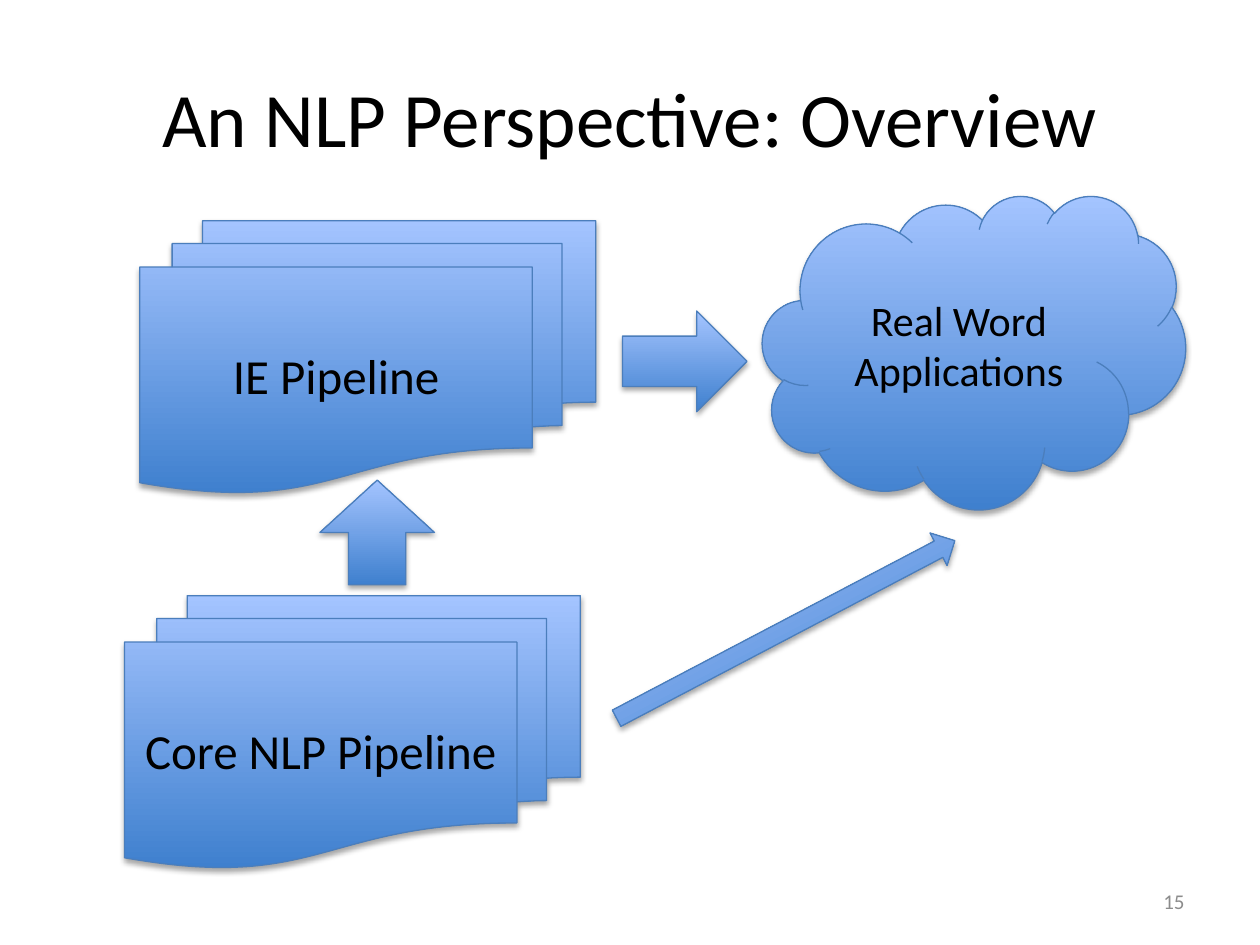
from lxml import etree
from pptx import Presentation
from pptx import util as u
from pptx.dml.color import RGBColor
from pptx.enum import shapes, text
from pptx.oxml.ns import qn

BLACK = RGBColor(0x00, 0x00, 0x00)
GREY = RGBColor(0x8C, 0x8C, 0x8C)
DEEP_BLUE = RGBColor(0x3F, 0x80, 0xCE)
PALE_BLUE = RGBColor(0xA4, 0xC4, 0xFF)
OUTLINE = RGBColor(0x4B, 0x7E, 0xBC)
FONT = "Calibri"
KIND = shapes.MSO_SHAPE


def place(part, left, top, width, height):
    """Move and size a part, in centimetres."""
    part.left, part.top = u.Cm(left), u.Cm(top)
    part.width, part.height = u.Cm(width), u.Cm(height)


def write(part, wording, size, color, align):
    """Set the wording of a part and format its single run."""
    frame = part.text_frame
    frame.word_wrap = True
    frame.vertical_anchor = text.MSO_ANCHOR.MIDDLE
    frame.text = wording
    paragraph = frame.paragraphs[0]
    paragraph.alignment = align
    font = paragraph.runs[0].font
    font.name, font.size = FONT, u.Pt(size)
    font.color.rgb = color


def add_shadow(part):
    """Give a part a soft shadow straight below it."""
    part.shadow.inherit = False
    effects = part._element.spPr.find(qn("a:effectLst"))
    shadow = etree.SubElement(
        effects, qn("a:outerShdw"), blurRad=str(u.Pt(3.1)), dist=str(u.Pt(1.8)),
        dir="5400000", rotWithShape="0")
    black = etree.SubElement(shadow, qn("a:srgbClr"), val=str(BLACK))
    etree.SubElement(black, qn("a:alpha"), val="35000")


def add_block(slide, kind, box, label=None, size=28, rotation=0):
    """Add one blue gradient block, with a label if it has one."""
    block = slide.shapes.add_shape(kind, 0, 0, 0, 0)
    place(block, *box)
    block.rotation = rotation
    block.fill.gradient()
    block.fill.gradient_angle = 90
    for stop, color, position in zip(
            block.fill.gradient_stops, (DEEP_BLUE, PALE_BLUE), (0, 1)):
        stop.color.rgb = color
        stop.position = position
    block.line.color.rgb = OUTLINE
    block.line.width = u.Pt(0.75)
    add_shadow(block)
    if label:
        write(block, label, size, BLACK, text.PP_ALIGN.CENTER)


def add_title(slide, box):
    """Place and format the title."""
    place(slide.shapes.title, *box)
    write(slide.shapes.title, "An NLP Perspective: Overview", 44, BLACK,
          text.PP_ALIGN.CENTER)


def add_overview(slide, left, top):
    """Draw the pipelines, the applications and the arrows between them."""
    def at(x, y, width, height):
        """Return a box offset from the corner of the overview."""
        return left + x, top + y, width, height

    pipeline = 9.19, 5.49
    add_block(slide, KIND.FLOWCHART_MULTIDOCUMENT, at(0, 8.07, *pipeline),
              "Core NLP Pipeline")
    add_block(slide, KIND.FLOWCHART_MULTIDOCUMENT, at(0.31, 0.51, *pipeline),
              "IE Pipeline")
    add_block(slide, KIND.UP_ARROW, at(3.94, 5.74, 2.31, 2.11))
    add_block(slide, KIND.CLOUD, at(12.86, 0, 8.53, 6.32),
              "Real Word Applications", 24)
    add_block(slide, KIND.RIGHT_ARROW, at(9.48, 8.38, 7.7, 0.74), rotation=332.3)
    add_block(slide, KIND.RIGHT_ARROW, at(10.04, 2.33, 2.51, 2.03))


def add_page_number(slide, box):
    """Write the page number in the bottom corner."""
    page_number = slide.shapes.add_textbox(0, 0, 0, 0)
    place(page_number, *box)
    write(page_number, "15", 12, GREY, text.PP_ALIGN.RIGHT)


def main():
    """Build the slide and save it."""
    deck = Presentation()
    deck.slide_width, deck.slide_height = u.Cm(25.4), u.Cm(19.05)
    slide = deck.slides.add_slide(deck.slide_layouts[5])
    add_title(slide, (1.27, 0.76, 22.86, 3.18))
    add_overview(slide, 2.51, 3.94)
    add_page_number(slide, (18.21, 17.65, 5.92, 1.02))
    deck.save("out.pptx")


if __name__ == "__main__":
    main()
